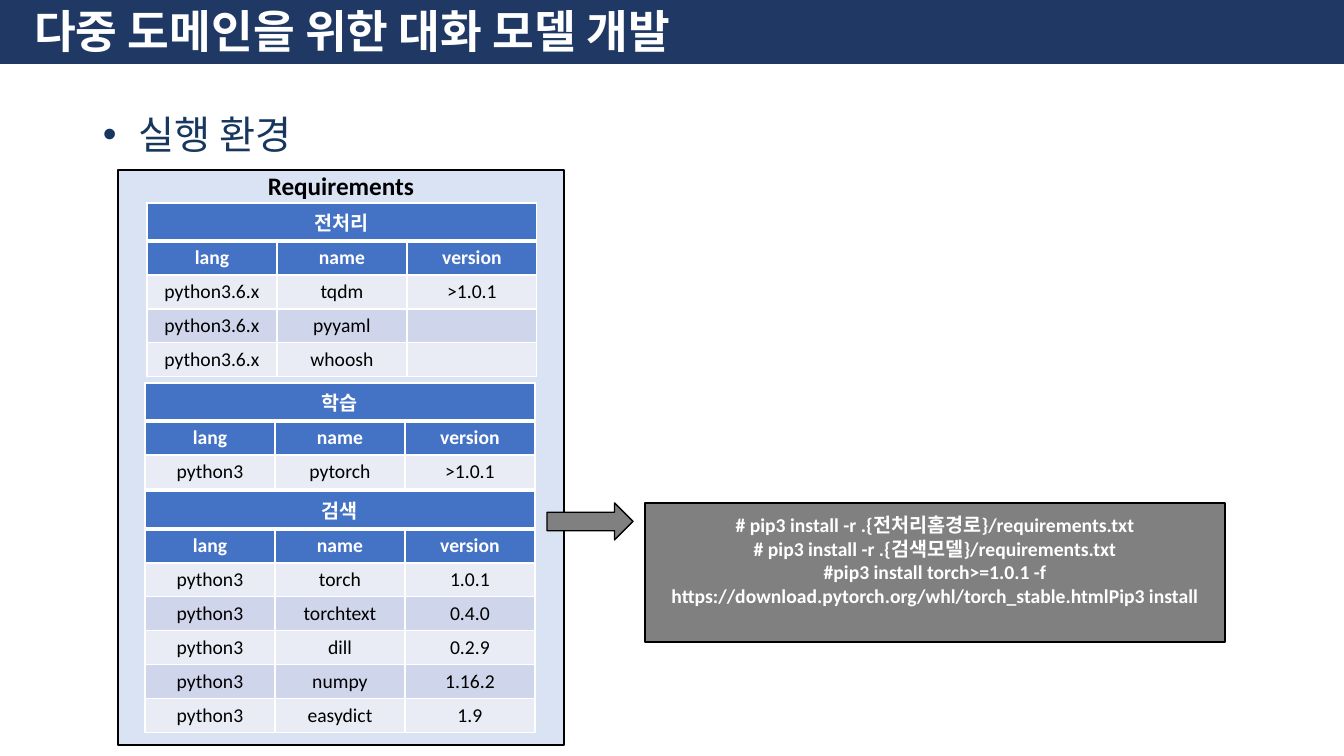
from lxml import etree
from pptx import Presentation
from pptx.dml.color import RGBColor
from pptx.enum.shapes import MSO_SHAPE as SHAPE
from pptx.enum.text import MSO_ANCHOR as ANCHOR, PP_ALIGN as ALIGN
from pptx.oxml import parse_xml
from pptx.oxml.ns import nsdecls, qn
from pptx.util import Emu, Pt

TITLE = "다중 도메인을 위한 대화 모델 개발"
SECTION = "실행 환경"
PANEL_TITLE = "Requirements"
HEADINGS = ("lang", "name", "version")
# caption, left, top, rows
TABLES = [
    ("학습", 145, 383, [("python3", "pytorch", ">1.0.1")]),
    ("검색", 145, 491, [
        ("python3", "torch", "1.0.1"),
        ("python3", "torchtext", "0.4.0"),
        ("python3", "dill", "0.2.9"),
        ("python3", "numpy", "1.16.2"),
        ("python3", "easydict", "1.9"),
    ]),
    ("전처리", 147, 203, [
        ("python3.6.x", "tqdm", ">1.0.1"),
        ("python3.6.x", "pyyaml", ""),
        ("python3.6.x", "whoosh", ""),
    ]),
]
COMMANDS = [
    "# pip3 install -r .{전처리홈경로}/requirements.txt",
    "# pip3 install -r .{검색모델}/requirements.txt",
    "#pip3 install torch>=1.0.1 -f "
    "https://download.pytorch.org/whl/torch_stable.htmlPip3 install",
]
COLORS = {
    "navy": "203864", "section": "17375E", "panel": "DAE3F3", "gray": "808080",
    "header": "4472C4", "odd": "E9EBF5", "even": "CFD5EA",
    "white": "FFFFFF", "black": "000000",
}
FONT = "Calibri"
COL_W, CAPTION_H, ROW_H = 130, 38, 34


def px(n):
    return Emu(round(n * 914400 / 100.8))


def rgb(name):
    return RGBColor.from_string(COLORS[name])


def place(sp, left, top, width, height):
    sp.left, sp.top, sp.width, sp.height = map(px, (left, top, width, height))


def write(tf, lines, size, color, bold=False, align=ALIGN.CENTER):
    tf.text = "\n".join(lines)
    for p in tf.paragraphs:
        p.alignment = align
        for r in p.runs:
            r.font.name, r.font.size, r.font.bold = FONT, Pt(size), bold
            r.font.color.rgb = rgb(color)


def add_box(kind, box, fill, line="black"):
    sp = slide.shapes.add_shape(kind, *map(px, box))
    sp.shadow.inherit = False
    sp.fill.solid()
    sp.fill.fore_color.rgb = rgb(fill)
    sp.line.color.rgb = rgb(line)
    sp.line.width = Pt(1)
    return sp


def set_borders(cell, top, bottom):
    """White borders; top and bottom widths in points, sides 1 pt."""
    tc_pr = cell._tc.get_or_add_tcPr()
    for side, width in (("L", 1), ("R", 1), ("T", top), ("B", bottom)):
        tc_pr.append(parse_xml(
            f'<a:ln{side} {nsdecls("a")} w="{Pt(width)}"><a:solidFill>'
            f'<a:srgbClr val="{COLORS["white"]}"/></a:solidFill></a:ln{side}>'))


def add_requirements(caption, left, top, rows):
    grid = [(caption, "", ""), HEADINGS, *rows]
    heights = [CAPTION_H] + [ROW_H] * (len(grid) - 1)
    size = COL_W * len(HEADINGS), sum(heights)
    table = slide.shapes.add_table(
        len(grid), len(HEADINGS), *map(px, (left, top, *size))).table
    table.first_row = table.horz_banding = False
    for col in table.columns:
        col.width = px(COL_W)
    for i, texts in enumerate(grid):
        table.rows[i].height = px(heights[i])
        is_header = i < 2
        fill = "header" if is_header else ("odd", "even")[i % 2]
        for j, text in enumerate(texts):
            cell = table.cell(i, j)
            set_borders(cell, 3 if i == 1 else 1, 3 if i == 0 else 1)
            cell.fill.solid()
            cell.fill.fore_color.rgb = rgb(fill)
            write(cell.text_frame, [text], 14,
                  "white" if is_header else "black", is_header)
            if not text:
                end = etree.SubElement(
                    cell.text_frame.paragraphs[0]._p, qn("a:endParaRPr"))
                end.set("sz", "1400")
    table.cell(0, 0).merge(table.cell(0, len(HEADINGS) - 1))


prs = Presentation()
prs.slide_width, prs.slide_height = px(1344), px(756)
slide = prs.slides.add_slide(prs.slide_layouts[5])

# Title over its band
band = add_box(SHAPE.RECTANGLE, (0, 0, 1344, 63), "navy", "navy")
slide.shapes._spTree.insert(2, band._element)
title = slide.shapes.title
place(title, 24, 6, 1297, 55)
title.text_frame.vertical_anchor = ANCHOR.MIDDLE
write(title.text_frame, [TITLE], 32.4, "white", True, ALIGN.LEFT)
p = title.text_frame.paragraphs[0]
p.line_spacing = 0.9
p.runs[0].font.fill._xPr.find(qn("a:solidFill")).addnext(parse_xml(
    f'<a:effectLst {nsdecls("a")}><a:outerShdw blurRad="38100" dist="38100" '
    'dir="2700000"><a:srgbClr val="000000"><a:alpha val="43000"/></a:srgbClr>'
    '</a:outerShdw></a:effectLst>'))

# Section heading
section = slide.shapes.add_textbox(*map(px, (93, 96, 1159, 70)))
section.text_frame.word_wrap = True
write(section.text_frame, [SECTION], 28, "section", align=ALIGN.LEFT)
p = section.text_frame.paragraphs[0]
p.line_spacing, p.space_before = 1.2, Pt(10)
p_pr = p._p.get_or_add_pPr()
p_pr.set("marL", str(px(36)))
p_pr.set("indent", str(-px(36)))
etree.SubElement(p_pr, qn("a:buFont")).set("typeface", "Arial")
etree.SubElement(p_pr, qn("a:buChar")).set("char", "•")

# Requirements panel and its tables
panel = add_box(SHAPE.RECTANGLE, (118, 170, 446, 575), "panel")
panel.text_frame.vertical_anchor = ANCHOR.TOP
panel.text_frame.margin_top = 0
write(panel.text_frame, [PANEL_TITLE], 18, "black", True)
for requirements in TABLES:
    add_requirements(*requirements)

# Install commands
add_box(SHAPE.RIGHT_ARROW, (547, 503, 86, 37), "gray")
commands = add_box(SHAPE.RECTANGLE, (645, 503, 580, 139), "gray")
commands.text_frame.word_wrap = True
commands.text_frame.vertical_anchor = ANCHOR.TOP
commands.text_frame.margin_top = px(10)
write(commands.text_frame, COMMANDS, 14, "white", True)

prs.save("out.pptx")
